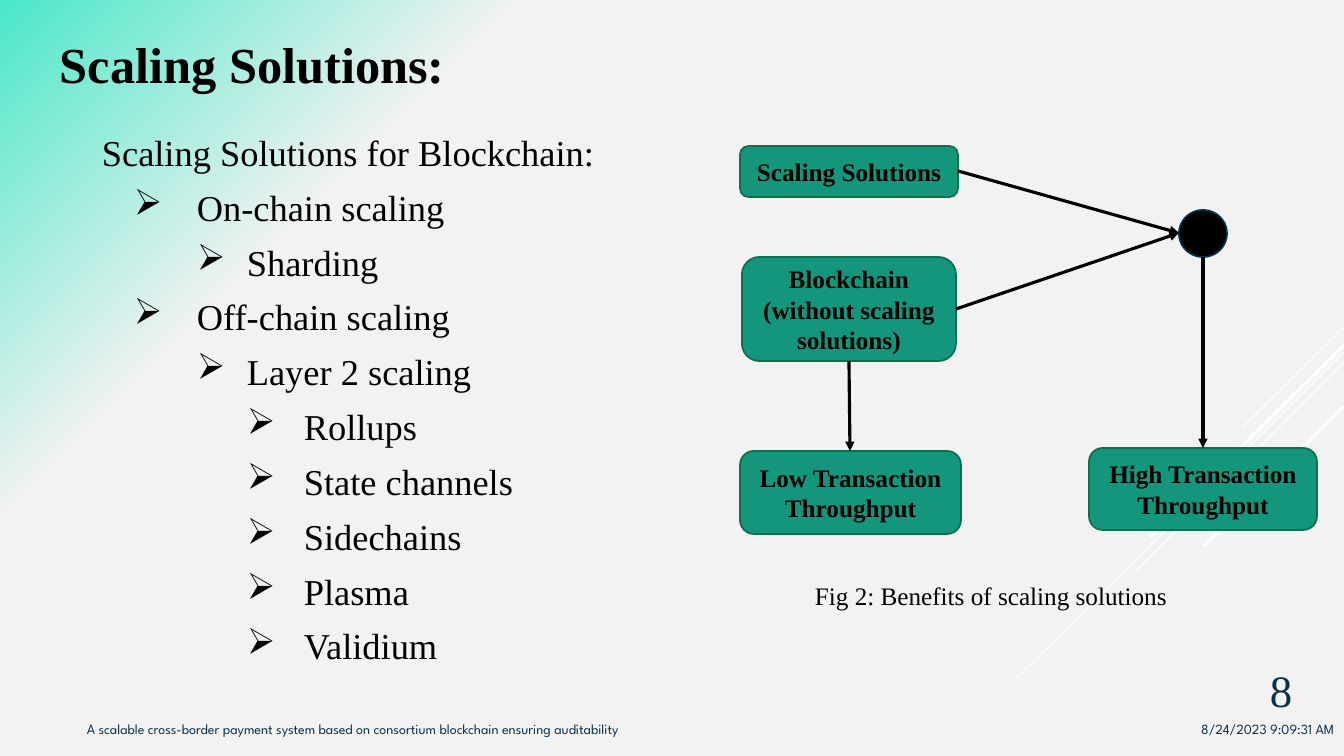
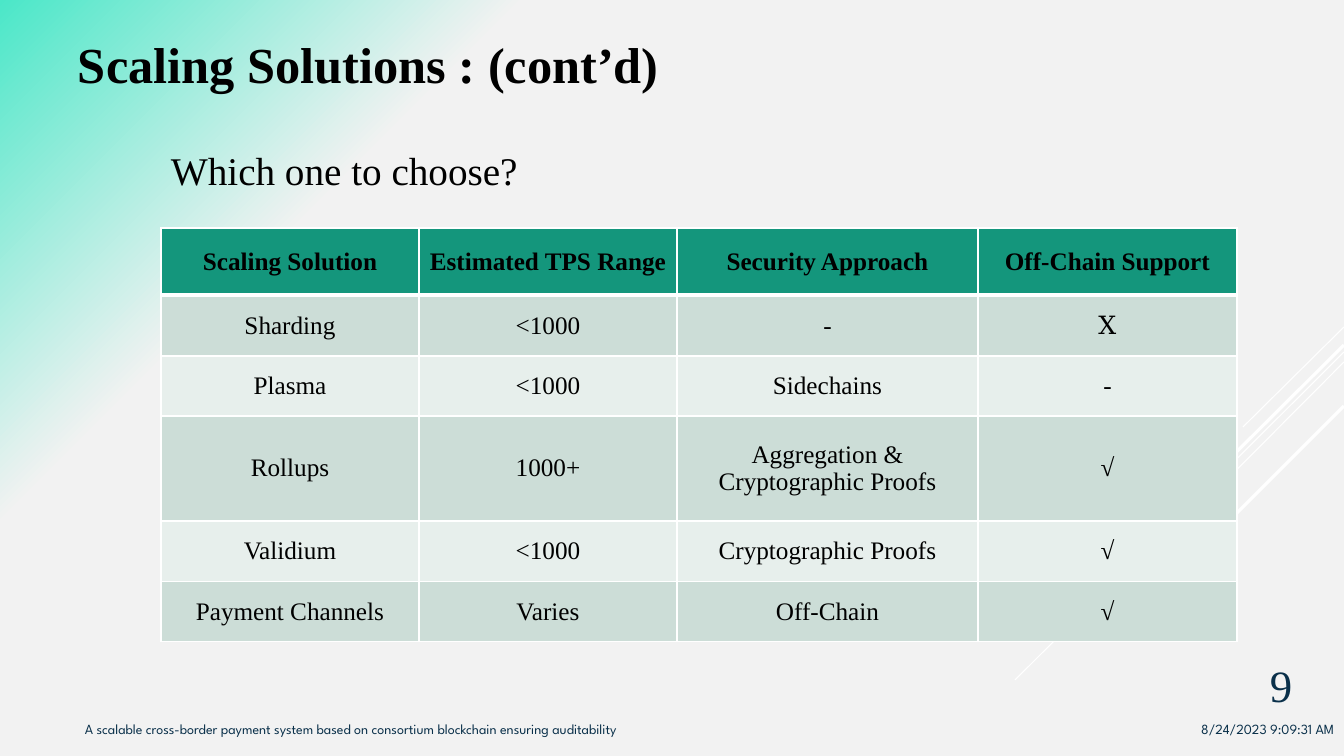
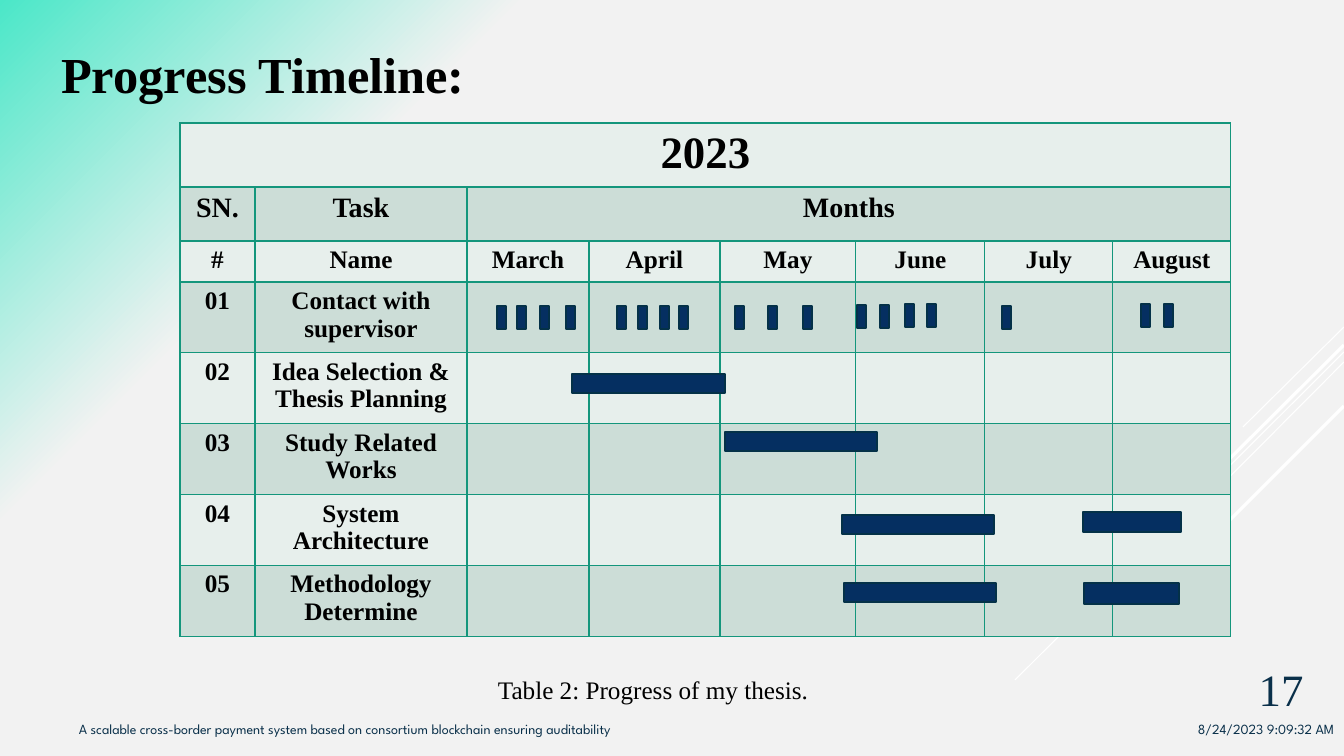
from itertools import product

from lxml import etree
from pptx import Presentation
from pptx import util as u
from pptx.dml.color import RGBColor
from pptx.enum import shapes, text
from pptx.oxml.ns import qn

BLACK = RGBColor(0x00, 0x00, 0x00)
WHITE = RGBColor(0xFF, 0xFF, 0xFF)
PAPER = RGBColor(0xF2, 0xF2, 0xF2)
MINT = RGBColor(0x4B, 0xE7, 0xC8)
GREEN = RGBColor(0x14, 0x96, 0x7C)
GREEN_EDGE = RGBColor(0x0F, 0x6F, 0x4C)
BAND_DARK = RGBColor(0xCC, 0xDD, 0xD7)
BAND_LIGHT = RGBColor(0xE7, 0xEF, 0xEC)
INK = RGBColor(0x0A, 0x30, 0x4A)
NAVY = RGBColor(0x05, 0x2F, 0x61)
NAVY_EDGE = RGBColor(0x04, 0x31, 0x48)
SERIF, SANS = "Times New Roman", "League Spartan"
PX = 914400 / 100.8
LEFT, CENTER, RIGHT = text.PP_ALIGN.LEFT, text.PP_ALIGN.CENTER, text.PP_ALIGN.RIGHT
TOP, MIDDLE, BOTTOM = text.MSO_ANCHOR.TOP, text.MSO_ANCHOR.MIDDLE, text.MSO_ANCHOR.BOTTOM


def write(tf, lines, size=18, bold=False, color=BLACK, font=SERIF, align=LEFT,
          anchor=TOP, gap=0, spacing=None):
    tf.word_wrap = True
    tf.vertical_anchor = anchor
    for i, line in enumerate(lines.split("\n")):
        p = tf.paragraphs[0] if i == 0 else tf.add_paragraph()
        p.alignment = align
        p.space_before = p.space_after = u.Pt(gap)
        p.line_spacing = spacing
        r = p.add_run()
        r.text = line
        r.font.size, r.font.bold, r.font.name = u.Pt(size), bold, font
        r.font.color.rgb = color


def draw_line(s, x1, y1, x2, y2, color, width, arrow=False):
    c = s.shapes.add_connector(shapes.MSO_CONNECTOR.STRAIGHT, *(round(v * PX) for v in (x1, y1, x2, y2)))
    c.line.color.rgb = color
    c.line.width = u.Pt(width)
    if arrow:
        etree.SubElement(c.line._get_or_add_ln(), qn("a:tailEnd"), type="triangle")
    etree.SubElement(c._element.spPr, qn("a:effectLst"))


prs = Presentation()
prs.slide_width, prs.slide_height = round(1344 * PX), round(756 * PX)

# Shared background: mint corner fading along the diagonal
fill = prs.slide_master.background.fill
fill.gradient()
fill.gradient_angle = 315
for stop, color, position in zip(fill.gradient_stops, (MINT, PAPER), (0, 0.25)):
    stop.color.rgb = color
    stop.position = position

# Shared frame: diagonal rays, date, footer, page number, title
RAYS = [(327, 1243, 427, 0.75), (352, 1015, 680, 0.75), (362, 1135, 572, 0.75),
        (345, 1151, 537, 2.25), (406, 1204, 546, 2.25)]
FOOTER = "A scalable cross-border payment system based on consortium blockchain ensuring auditability"
# title, title box, page, page top, footer left, second of the time stamp
PAGES = [("Scaling Solutions:", (34, 28, 437, 72), 8, 647, 77, 31),
         ("Scaling Solutions : (cont’d)", (41, 28, 655, 72), 9, 642, 75, 31),
         ("Progress Timeline:", (48, 38, 430, 72), 17, 646, 69, 32)]
slides = []
for title, title_box, page, page_top, footer_left, second in PAGES:
    s = prs.slides.add_slide(prs.slide_layouts[6])
    slides.append(s)
    for y1, x2, y2, width in RAYS:
        draw_line(s, 1344, y1, x2, y2, WHITE, width)
    small = dict(size=10, font=SANS, color=INK)
    for box, words, style in [
        ((1167, 716, 177, 40), f"8/24/2023 9:09:{second} AM", dict(small, align=RIGHT)),
        ((footer_left, 716, 832, 40), FOOTER, small),
        ((1218, page_top, 126, 74), str(page), dict(size=32, color=INK, align=CENTER, anchor=BOTTOM)),
        (title_box, title, dict(size=36, bold=True, align=CENTER)),
    ]:
        tb = s.shapes.add_textbox(*(round(v * PX) for v in box))
        write(tb.text_frame, words, **style)
scaling, choice, timeline = slides

# Body text and captions
for s, box, words, style in [
    (scaling, (92, 125, 666, 553), "Scaling Solutions for Blockchain:\nOn-chain scaling\nSharding\n"
     "Off-chain scaling\nLayer 2 scaling\nRollups\nState channels\nSidechains\nPlasma\nValidium",
     dict(size=26, gap=4)),
    (scaling, (805, 575, 389, 40), "Fig 2: Benefits of scaling solutions", {}),
    (choice, (161, 118, 556, 73), "Which one to choose?", dict(size=28, spacing=1.5)),
    (timeline, (488, 669, 395, 40), "Table 2: Progress of my thesis.", {}),
]:
    tb = s.shapes.add_textbox(*(round(v * PX) for v in box))
    write(tb.text_frame, words, **style)
    if s is scaling and "\n" in words:
        outline = tb.text_frame

# Outline bullets: left margin and hanging indent for each level
INDENTS = [(95, 63), (145, 50), (202, 57)]
for p, level in zip(outline.paragraphs[1:], (0, 1, 0, 1, 2, 2, 2, 2, 2)):
    p.level = level
    margin, hanging = INDENTS[level]
    pPr = p._p.get_or_add_pPr()
    pPr.set("marL", str(round(margin * PX)))
    pPr.set("indent", str(round(-hanging * PX)))
    etree.SubElement(pPr, qn("a:buChar"), char="➢")

# Flow diagram, then the bars and meeting ticks of the timeline
RECT, ROUND, OVAL = (shapes.MSO_SHAPE.RECTANGLE, shapes.MSO_SHAPE.ROUNDED_RECTANGLE, shapes.MSO_SHAPE.OVAL)
NODES = [((740, 146, 218, 51), "Scaling Solutions"),
         ((742, 257, 214, 104), "Blockchain\n(without scaling solutions)"),
         ((740, 451, 221, 83), "Low Transaction Throughput"),
         ((1089, 448, 228, 82), "High Transaction Throughput")]
BARS = [(572, 374, 153, 19), (725, 432, 152, 19), (842, 515, 152, 19), (844, 583, 152, 19),
        (1083, 512, 98, 20), (1084, 583, 95, 21)]
TICKS = {306: (497, 517, 540, 566, 617, 638, 660, 679, 735, 768, 803, 1002),
         305: (857, 880), 304: (905, 927, 1141, 1164)}
BARS += [(x, y, 9, 23) for y, xs in TICKS.items() for x in xs]

# Tables: slide, origin, columns, rows, header rows, border, band order, cells
MONTHS = ["March", "April", "May", "June", "July", "August"]
TASKS = ["Contact with supervisor", "Idea Selection & Thesis Planning", "Study Related Works",
         "System Architecture", "Methodology Determine"]
TABLES = [
    (choice, (161, 228), (258, 258, 301, 259), (67, 61, 60, 105, 61, 60), WHITE, (BAND_LIGHT, BAND_DARK), [
        ["Scaling Solution", "Estimated TPS Range", "Security Approach", "Off-Chain Support"],
        ["Sharding", "<1000", "-", "Ⅹ"],
        ["Plasma", "<1000", "Sidechains", "-"],
        ["Rollups", "1000+", "Aggregation & Cryptographic Proofs", "√"],
        ["Validium", "<1000", "Cryptographic Proofs", "√"],
        ["Payment Channels", "Varies", "Off-Chain", "√"]]),
    (timeline, (180, 123), (75, 212, 122, 131, 136, 129, 128, 118), (64, 54, 41, 70, 71, 71, 70, 71),
     GREEN, (BAND_LIGHT, BAND_DARK), [
        ["2023"], ["SN.", "Task", "Months"], ["#", "Name"] + MONTHS,
        *([f"{n:02}", task] for n, task in enumerate(TASKS, 1))]),
]
for s, origin, cols, rows, border, bands, cells in TABLES:
    box = (*origin, sum(cols), sum(rows))
    table = s.shapes.add_table(len(rows), len(cols), *(round(v * PX) for v in box)).table
    for column, width in zip(table.columns, cols):
        column.width = round(width * PX)
    for row, height in zip(table.rows, rows):
        row.height = round(height * PX)
    for i, j in product(range(len(rows)), range(len(cols))):
        cell = table.cell(i, j)
        header = s is choice and i == 0
        # Borders come before the fill in the cell properties
        tcPr = cell._tc.get_or_add_tcPr()
        for edge in ("L", "R", "T", "B"):
            thick = s is choice and (i, edge) in ((0, "B"), (1, "T"))
            ln = etree.SubElement(tcPr, qn(f"a:ln{edge}"), w=str(u.Pt(3 if thick else 1)))
            solid = etree.SubElement(ln, qn("a:solidFill"))
            etree.SubElement(solid, qn("a:srgbClr"), val=str(border))
        cell.fill.solid()
        cell.fill.fore_color.rgb = GREEN if header else bands[i % 2]
        if j < len(cells[i]):
            words = cells[i][j]
            if s is choice:
                write(cell.text_frame, words, bold=header or words == "√", align=CENTER)
                cell.vertical_anchor = MIDDLE
            else:
                write(cell.text_frame, words, size={0: 32, 1: 20}.get(i, 18), bold=True, align=CENTER)
    if s is timeline:
        table.cell(0, 0).merge(table.cell(0, 7))
        table.cell(1, 2).merge(table.cell(1, 7))

# Filled shapes, drawn above the tables
for s, kind, box, color, edge, words in [
    *((scaling, ROUND, box, GREEN, GREEN_EDGE, words) for box, words in NODES),
    (scaling, OVAL, (1179, 210, 48, 47), BLACK, NAVY_EDGE, ""),
    *((timeline, RECT, box, NAVY, NAVY_EDGE, "") for box in BARS),
]:
    sp = s.shapes.add_shape(kind, *(round(v * PX) for v in box))
    sp.shadow.inherit = False
    sp.fill.solid()
    sp.fill.fore_color.rgb = color
    sp.line.color.rgb = edge
    sp.line.width = u.Pt(1.25)
    if words:
        write(sp.text_frame, words, bold=True, align=CENTER, anchor=MIDDLE)

# Arrows of the flow diagram
for ends in [(958, 171, 1179, 233), (956, 309, 1179, 233), (849, 361, 850, 451), (1203, 257, 1203, 448)]:
    draw_line(scaling, *ends, BLACK, 2.25, arrow=True)

prs.save("out.pptx")
